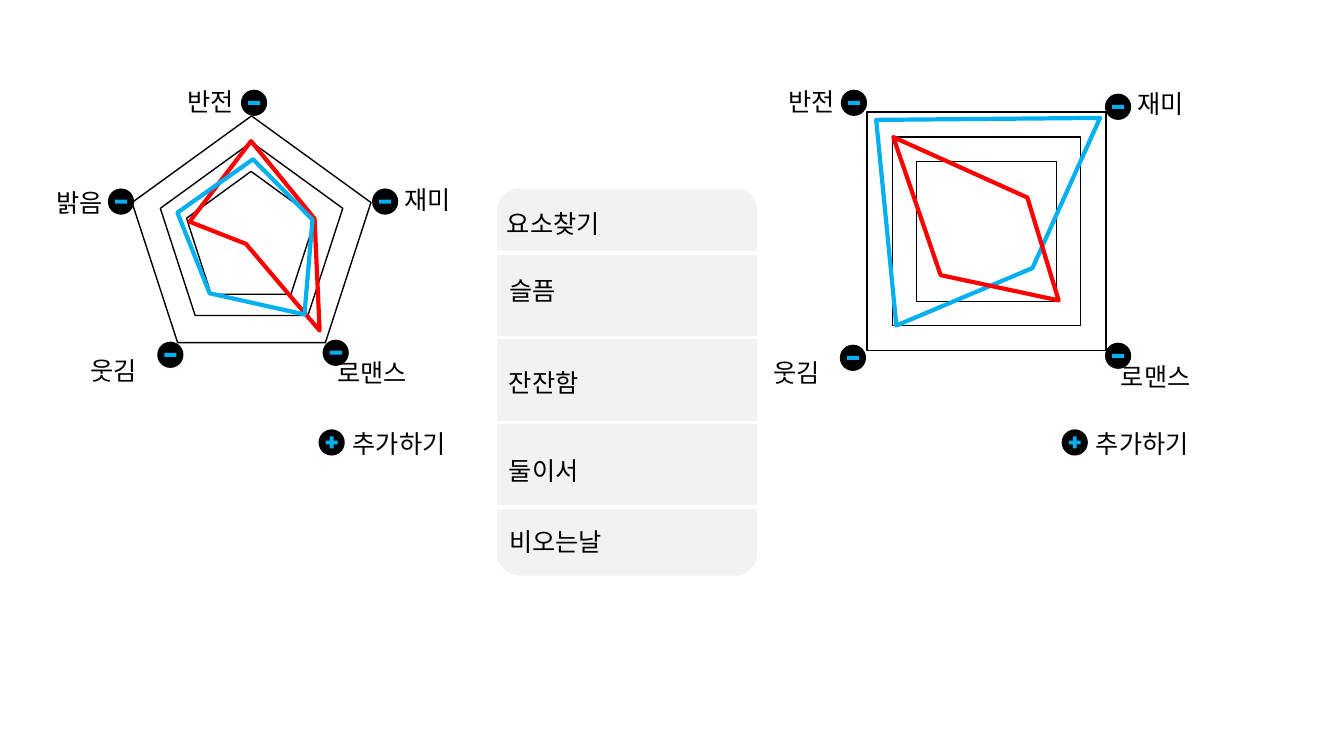
from lxml.etree import SubElement
from pptx import Presentation
from pptx.dml.color import RGBColor
from pptx.enum.shapes import MSO_CONNECTOR, MSO_SHAPE as SHAPE
from pptx.enum.text import MSO_AUTO_SIZE
from pptx.oxml.ns import qn
from pptx.util import Inches, Pt

FONT = "Noto Sans CJK KR"
COLORS = {"ink": "000000", "blue": "00B0F0", "red": "FF0000",
          "panel": "F2F2F2", "white": "FFFFFF"}


def color(name):
    return RGBColor.from_string(COLORS[name])


def write(tf, text, size=18, ink="ink", font=FONT):
    r = tf.paragraphs[0].add_run()
    r.text = text
    r.font.size, r.font.name = Pt(size), font
    r.font.color.rgb = color(ink)
    # Korean glyphs take the East Asian font
    SubElement(r.font._element, qn("a:ea")).set("typeface", font)


class Canvas:
    """Holds the slide and draws each kind of element on it."""

    def __init__(self, s):
        self.s = s

    def style(self, sp, fill=None, line=None, width=1):
        sp.shadow.inherit = False
        if fill:
            sp.fill.solid()
            sp.fill.fore_color.rgb = color(fill)
        else:
            sp.fill.background()
        if line:
            sp.line.color.rgb = color(line)
            sp.line.width = Pt(width)
        else:
            sp.line.fill.background()
        return sp

    def shape(self, kind, x, y, w, h, parent=None, **look):
        shapes = (parent or self.s).shapes
        sp = shapes.add_shape(kind, Inches(x), Inches(y), Inches(w), Inches(h))
        return self.style(sp, **look)

    def label(self, text, x, y, parent=None):
        width = 0.21 + 0.25 * len(text)
        sp = (parent or self.s).shapes.add_textbox(
            Inches(x), Inches(y), Inches(width), Inches(0.4))
        tf = sp.text_frame
        tf.word_wrap = False
        tf.auto_size = MSO_AUTO_SIZE.SHAPE_TO_FIT_TEXT
        write(tf, text)

    def button(self, x, y, plus=False):
        group = self.s.shapes.add_group_shape()
        d = 0.26
        self.shape(SHAPE.OVAL, x, y, d, d, group, fill="ink")
        kind, w, h = ((SHAPE.MATH_PLUS, 0.16, 0.16) if plus
                      else (SHAPE.RECTANGLE, 0.12, 0.04))
        self.shape(kind, x + (d - w) / 2, y + (d - h) / 2, w, h, group, fill="blue")

    def polygon(self, points, line):
        corners = [(Inches(x), Inches(y)) for x, y in points]
        fb = self.s.shapes.build_freeform(*corners[0])
        fb.add_line_segments(corners[1:], close=True)
        self.style(fb.convert_to_shape(), line=line, width=3)

    def divider(self, x1, x2, y, parent):
        cn = parent.shapes.add_connector(
            MSO_CONNECTOR.STRAIGHT, Inches(x1), Inches(y), Inches(x2), Inches(y))
        cn.line.color.rgb = color("white")
        cn.line.width = Pt(2.25)
        SubElement(cn._element.spPr, qn("a:effectLst"))

    def radar(self, kind, rings, axes, add_at, series):
        for ring in rings:
            self.shape(kind, *ring, line="ink")
        for text, label_at, button_at in axes:
            self.label(text, *label_at)
            self.button(*button_at)
        x, y = add_at
        self.button(x, y, plus=True)
        self.label("추가하기", x + 0.24, y - 0.06)
        for line, points in series:
            self.polygon(points, line)


prs = Presentation()
prs.slide_width, prs.slide_height = Inches(13.33), Inches(7.5)
s = prs.slides.add_slide(prs.slide_layouts[6])
canvas = Canvas(s)

# Five-axis radar
canvas.radar(
    SHAPE.REGULAR_PENTAGON,
    rings=[(1.31, 1.15, 2.37, 2.25), (1.59, 1.41, 1.81, 1.72), (1.85, 1.7, 1.28, 1.22)],
    axes=[("반전", (1.76, 0.81), (2.39, 0.89)),
          ("재미", (3.91, 1.78), (3.69, 1.87)),
          ("로맨스", (3.25, 3.5), (3.2, 3.37)),
          ("웃김", (0.8, 3.48), (1.56, 3.39)),
          ("밝음", (0.46, 1.81), (1.07, 1.87))],
    add_at=(3.16, 4.26),
    series=[("red", [(2.49, 1.4), (3.12, 2.17), (3.17, 3.28), (2.44, 2.42), (1.88, 2.2)]),
            ("blue", [(2.08, 2.91), (3.02, 3.12), (3.1, 2.18), (2.51, 1.58), (1.76, 2.11)])])

# Four-axis radar
canvas.radar(
    SHAPE.RECTANGLE,
    rings=[(8.6 + i, 1.11 + i, 2.37 - 2 * i, 2.37 - 2 * i) for i in (0, 0.25, 0.49)],
    axes=[("반전", (7.72, 0.81), (8.34, 0.89)),
          ("재미", (11.18, 0.83), (10.96, 0.93)),
          ("로맨스", (11.02, 3.54), (10.96, 3.4)),
          ("웃김", (7.57, 3.5), (8.33, 3.42))],
    add_at=(10.53, 4.26),
    series=[("blue", [(10.91, 1.17), (10.24, 2.66), (8.89, 3.23), (8.69, 1.19)]),
            ("red", [(8.86, 1.36), (9.33, 2.73), (10.5, 2.98), (10.19, 1.96)])])

# Element search list
menu = s.shapes.add_group_shape()
panel = canvas.shape(SHAPE.ROUNDED_RECTANGLE, 4.93, 1.87, 2.58, 3.84, menu, fill="panel")
panel.adjustments[0] = 0.086
for i in range(4):
    canvas.divider(4.77, 8.09, 2.51 + 0.84 * i, menu)
for text, x, y in [("요소찾기", 4.93, 2.02), ("슬픔", 4.95, 2.68), ("잔잔함", 4.95, 3.59),
                   ("둘이서", 4.95, 4.47), ("비오는날", 4.95, 5.17)]:
    canvas.label(text, x, y, menu)

prs.save("out.pptx")
